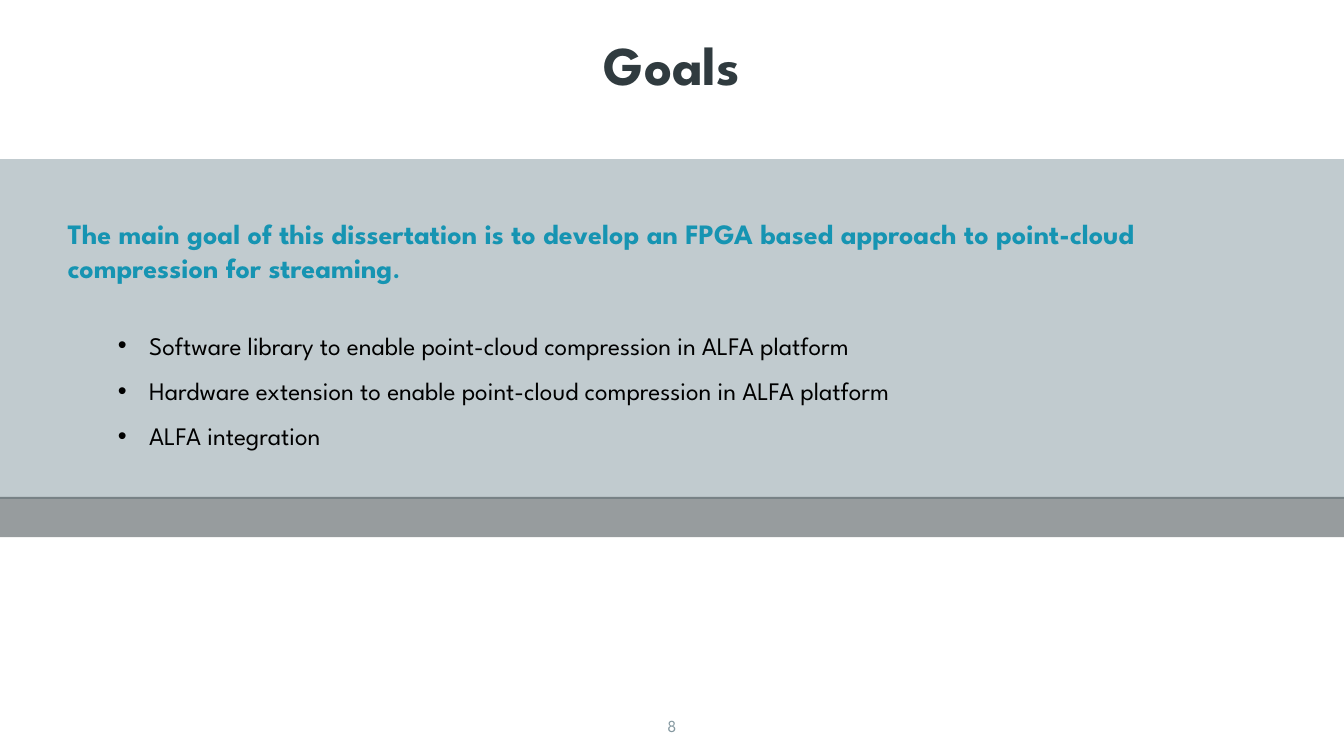
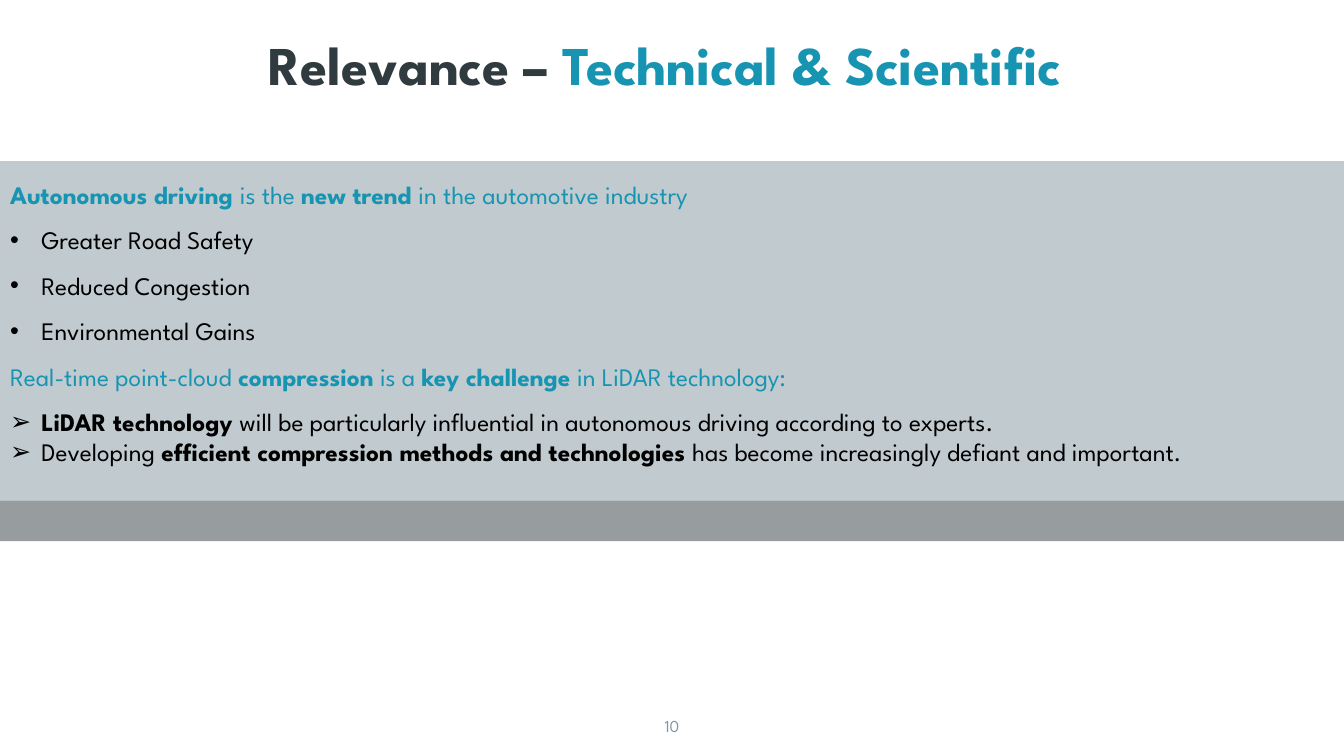
from lxml.etree import SubElement
from pptx import Presentation
from pptx.dml.color import RGBColor
from pptx.enum.shapes import MSO_SHAPE
from pptx.enum.text import MSO_ANCHOR, MSO_AUTO_SIZE, PP_ALIGN
from pptx.oxml.ns import qn
from pptx.util import Inches, Pt

DARK = RGBColor(0x30, 0x3B, 0x3F)
GREY = RGBColor(0x84, 0x98, 0xA0)
TEAL = RGBColor(0x16, 0x94, 0xB2)
BLACK = RGBColor(0x00, 0x00, 0x00)

FONT = "League Spartan"
WIDTH = 13.33
CENTERED = {"alignment": PP_ALIGN.CENTER, "line_spacing": 0.9}
LOOSE = {"line_spacing": 1.5}


def add_band(s, top, height, color):
    sp = s.shapes.add_shape(MSO_SHAPE.RECTANGLE, 0, Inches(top), Inches(WIDTH), Inches(height))
    sp.shadow.inherit = False
    sp.fill.solid()
    sp.fill.fore_color.rgb = color
    sp.line.fill.background()
    clr = sp.fill._xPr.find(qn("a:solidFill"))[0]
    SubElement(clr, qn("a:alpha"), val="50000")
    s.shapes._spTree.insert(2, sp._element)


def fill_text(sp, box, paragraphs, anchor=MSO_ANCHOR.TOP):
    sp.left, sp.top, sp.width, sp.height = [Inches(v) for v in box]
    tf = sp.text_frame
    tf.word_wrap = True
    tf.auto_size = MSO_AUTO_SIZE.NONE
    tf.vertical_anchor = anchor
    for i, (runs, bullet, margin, layout) in enumerate(paragraphs):
        p = tf.paragraphs[0] if i == 0 else tf.add_paragraph()
        pPr = p._p.get_or_add_pPr()
        pPr.set("marL", str(Inches(margin)))
        pPr.set("indent", str(Inches(-0.31 if bullet else 0)))
        if bullet:
            SubElement(pPr, qn("a:buFont"), typeface="Arial")
            SubElement(pPr, qn("a:buChar"), char=bullet)
        else:
            SubElement(pPr, qn("a:buNone"))
        for name, value in ({"space_before": Pt(0), "line_spacing": 1.0,
                             "alignment": PP_ALIGN.LEFT} | layout).items():
            setattr(p, name, value)
        for text, size, color, bold, *font in runs:
            r = p.add_run()
            r.text = text
            r.font.color.rgb = color
            for name, value in {"name": font[0] if font else FONT,
                                "size": Pt(size), "bold": bold}.items():
                setattr(r.font, name, value)


goals = [
    "Software library to enable point-cloud compression in ALFA platform",
    "Hardware extension to enable point-cloud compression in ALFA platform",
    "ALFA integration",
]
gains = ["Greater Road Safety", "Reduced Congestion", "Environmental Gains"]

goals_body = [
    ([("The main goal of this dissertation is to develop an FPGA based approach "
       "to point-cloud compression for streaming", 20, TEAL, True),
      (".", 20, TEAL, True, "Calibri")], None, 0, {}),
]
for i, goal in enumerate(goals):
    gap = {"space_before": Pt(0 if i else 22)}
    goals_body.append(([(goal, 18, BLACK, False)], "•", 0.81, LOOSE | gap))

relevance_body = [
    ([("Autonomous driving ", 18, TEAL, True), ("is the ", 18, TEAL, False),
      ("new trend ", 18, TEAL, True),
      ("in the automotive industry", 18, TEAL, False)], None, 0, {}),
    *[([(gain, 18, BLACK, False)], "•", 0.31, LOOSE) for gain in gains],
    ([("Real-time point-cloud ", 18, TEAL, False), ("compression", 18, TEAL, True),
      (" is a ", 18, TEAL, False), ("key challenge ", 18, TEAL, True),
      ("in LiDAR technology:", 18, TEAL, False)], None, 0, LOOSE),
    ([("LiDAR technology ", 18, BLACK, True),
      ("will be particularly influential in autonomous driving according to experts.",
       18, BLACK, False)], "➢", 0.31, LOOSE),
    ([("Developing ", 18, BLACK, False),
      ("efficient compression methods and technologies ", 18, BLACK, True),
      ("has become increasingly defiant and important.", 18, BLACK, False)], "➢", 0.31, {}),
]

slides = [
    {"number": "8", "title": [("Goals", 39, DARK, True)],
     "bands": (1.58, 4.93), "box": (0.57, 2.1, 12.2, 4.56), "body": goals_body},
    {"number": "10",
     "title": [("Relevance – ", 39, DARK, True), ("Technical & Scientific ", 39, TEAL, True)],
     "bands": (1.6, 4.97), "box": (0, 1.73, WIDTH, 4.4), "body": relevance_body},
]

prs = Presentation()
prs.slide_width = Inches(WIDTH)
prs.slide_height = Inches(7.5)

for content in slides:
    s = prs.slides.add_slide(prs.slide_layouts[1])
    panel_top, strip_top = content["bands"]
    add_band(s, strip_top, 0.4, DARK)
    add_band(s, panel_top, 3.37, GREY)
    fill_text(s.shapes.title, (0, 0.27, WIDTH, 0.75),
              [(content["title"], None, 0, CENTERED)], MSO_ANCHOR.BOTTOM)
    fill_text(s.placeholders[1], content["box"], content["body"])
    fill_text(s.shapes.add_textbox(0, 0, 0, 0), (0, 7.11, WIDTH, 0.24),
              [([(content["number"], 12, GREY, False)], None, 0, CENTERED)], MSO_ANCHOR.BOTTOM)

prs.save("out.pptx")
